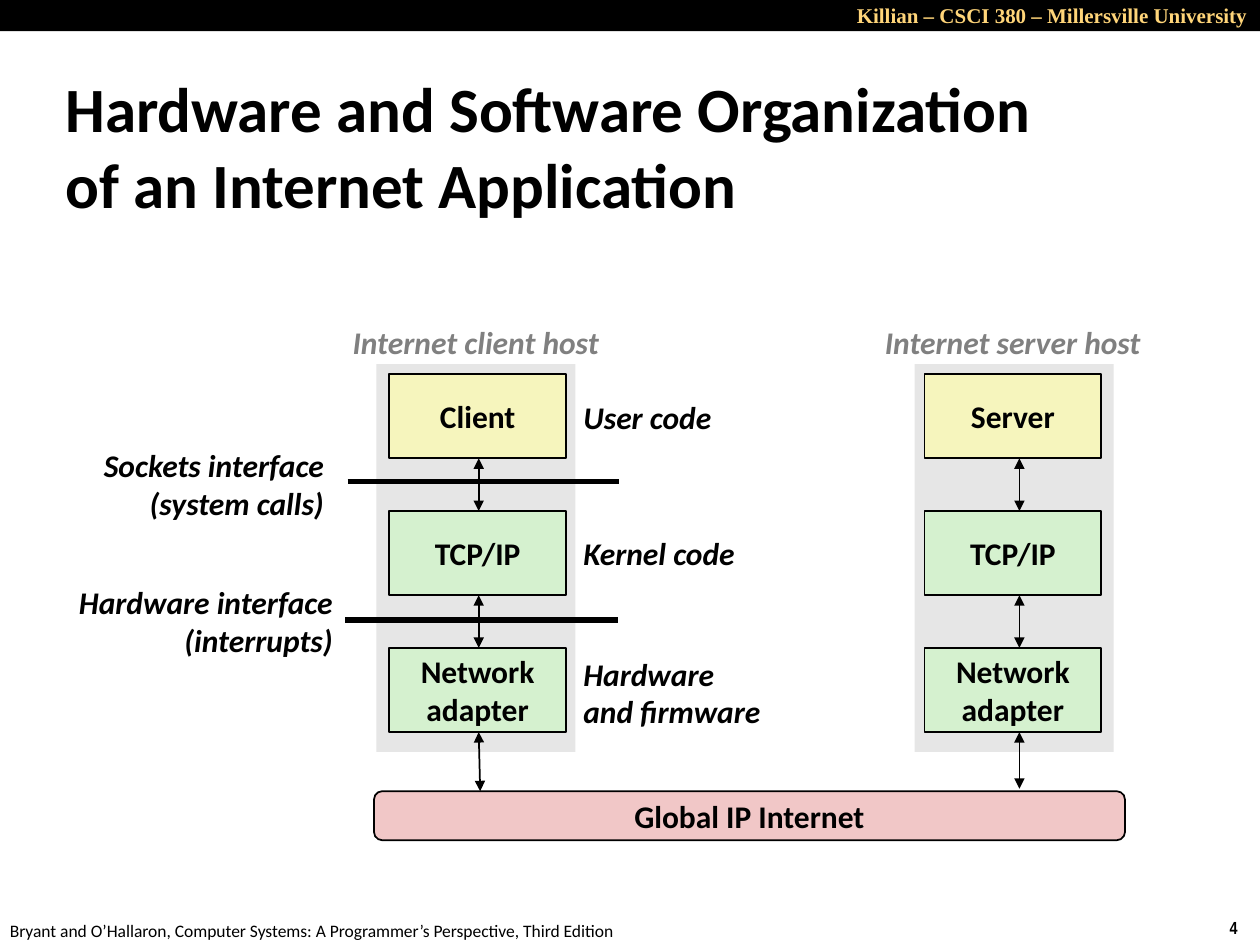
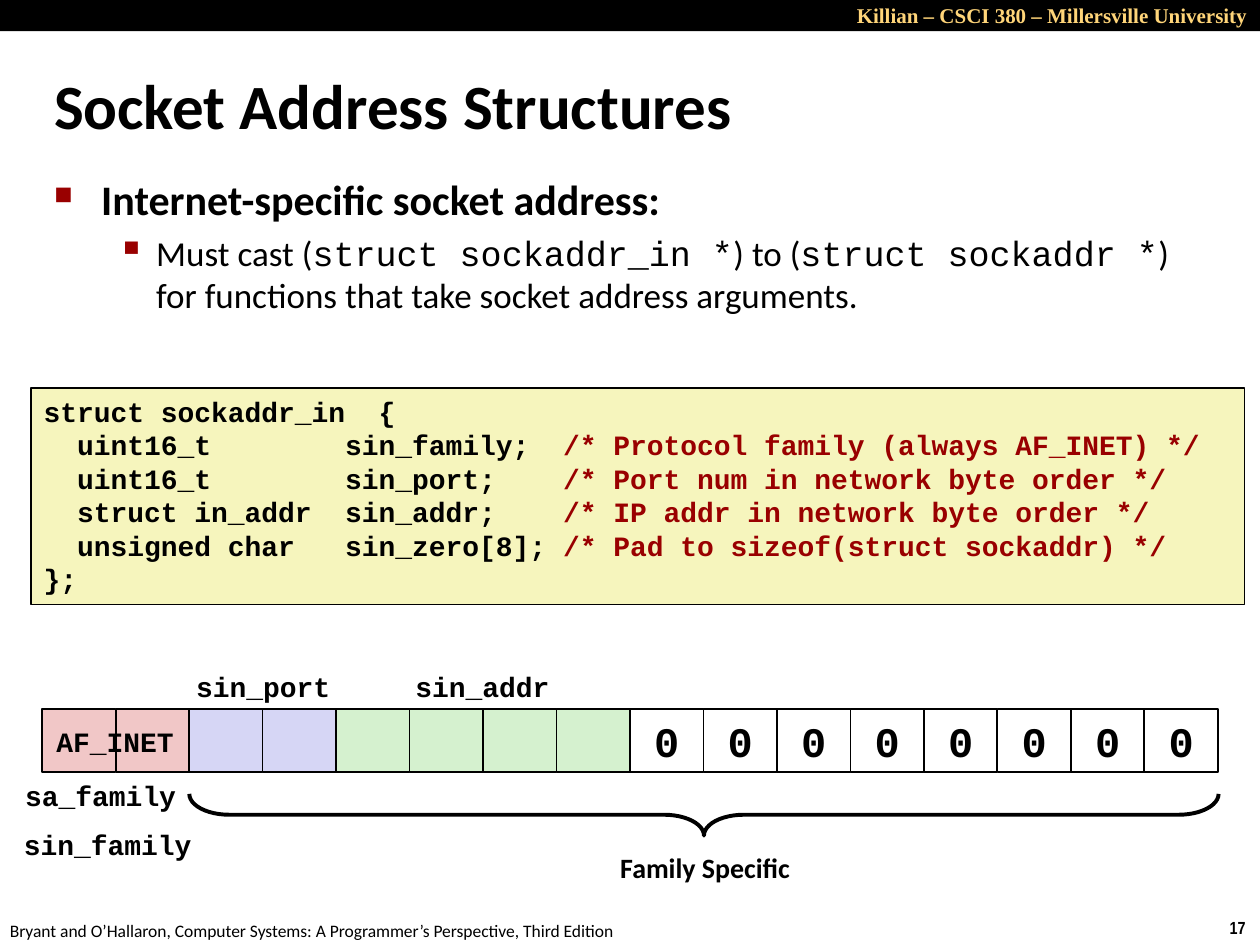
from lxml import etree
from pptx import Presentation
from pptx.dml.color import RGBColor
from pptx.enum.shapes import MSO_CONNECTOR, MSO_SHAPE
from pptx.enum.text import MSO_ANCHOR, PP_ALIGN
from pptx.oxml.ns import qn
from pptx.util import Cm, Pt

RECTANGLE = MSO_SHAPE.RECTANGLE
ROUNDED = MSO_SHAPE.ROUNDED_RECTANGLE
BRACE = MSO_SHAPE.RIGHT_BRACE
STRAIGHT = MSO_CONNECTOR.STRAIGHT
LEFT, CENTER, RIGHT = PP_ALIGN.LEFT, PP_ALIGN.CENTER, PP_ALIGN.RIGHT
TOP, MIDDLE = MSO_ANCHOR.TOP, MSO_ANCHOR.MIDDLE


class Theme:
    black = RGBColor.from_string("000000")
    white = RGBColor.from_string("FFFFFF")
    gold = RGBColor.from_string("FFD579")
    gray = RGBColor.from_string("808080")
    panel = RGBColor.from_string("E6E6E6")
    yellow = RGBColor.from_string("F6F5BD")
    green = RGBColor.from_string("D5F1CF")
    pink = RGBColor.from_string("F1C7C7")
    lilac = RGBColor.from_string("D6D6F5")
    red = RGBColor.from_string("990000")
    band = {"name": "Times New Roman", "size": Pt(12), "bold": True, "ink": gold}
    footer = {"name": "Calibri", "size": Pt(10), "bold": False, "ink": black}
    number = {"name": "Arial Narrow", "size": Pt(10), "bold": True, "ink": black}
    title = {"name": "Calibri", "size": Pt(36), "bold": True, "ink": black}
    topic = {"name": "Calibri", "size": Pt(24), "bold": True, "ink": black}
    detail = {"name": "Calibri", "size": Pt(20), "bold": False, "ink": black}
    block = {"name": "Calibri", "size": Pt(18), "bold": True, "ink": black}
    note = {**block, "italic": True}
    host = {**note, "ink": gray}
    code = {"name": "Courier New", "size": Pt(16), "bold": True, "ink": black}
    caption = {**code, "name": "Calibri"}
    digit = {**code, "size": Pt(24)}


def put(page, kind, at, fill=None, edge=None):
    place = [Cm(length) for length in at]
    if kind is None:
        return page.shapes.add_textbox(*place)
    shape = page.shapes.add_shape(kind, *place)
    shape.shadow.inherit = False
    if fill is None:
        shape.fill.background()
    else:
        shape.fill.solid()
        shape.fill.fore_color.rgb = fill
    if edge is None:
        shape.line.fill.background()
    else:
        shape.line.color.rgb = Theme.black
        shape.line.width = Pt(edge)
    return shape


def write(shape, lines, style, align=LEFT, anchor=TOP, wrap=True):
    frame = shape.text_frame
    frame.word_wrap = wrap
    frame.vertical_anchor = anchor
    for index, line in enumerate(lines):
        para = frame.add_paragraph() if index else frame.paragraphs[0]
        para.alignment = align
        for text, changes in [(line, {})] if isinstance(line, str) else line:
            span = para.add_run()
            span.text = text
            for name, value in {**style, **changes}.items():
                if name == "ink":
                    span.font.color.rgb = value
                else:
                    setattr(span.font, name, value)


deck = Presentation()
deck.slide_width = Cm(25.4)
deck.slide_height = Cm(19.05)

titles = [
    ("4", (1.07, 1.4, 22.58, 3.05),
     ["Hardware and Software Organization", "of an Internet Application"]),
    ("17", (0.84, 1.02, 24.21, 2.16), ["Socket Address Structures"]),
]
pages = []
for number, title_place, title_lines in titles:
    page = deck.slides.add_slide(deck.slide_layouts[6])
    pages.append(page)
    put(page, RECTANGLE, (0, 0, 25.4, 0.63), Theme.black)
    write(put(page, None, (11.43, -0.08, 13.97, 0.76)),
          ["Killian – CSCI 380 – Millersville University"], Theme.band, RIGHT)
    write(put(page, None, (24.54, 18.36, 0.86, 0.69)), [number], Theme.number)
    write(put(page, None, (-0.05, 18.42, 12.9, 0.69)),
          ["Bryant and O’Hallaron, Computer Systems: "
           "A Programmer’s Perspective, Third Edition"], Theme.footer, wrap=False)
    write(put(page, None, title_place), title_lines, Theme.title, anchor=MIDDLE)
organization, addresses = pages

row_top, row_pitch, row_height = 7.54, 2.76, 1.7
internet_top = 15.95
hosts = [("Client", 7.59, 7.85, 9.65, 9.68, internet_top),
         ("Server", 18.44, 18.64, 20.55, 20.55, 15.9)]
links = []
for program, panel_left, box_left, arrow_x, end_x, end_y in hosts:
    put(organization, RECTANGLE, (panel_left, 7.34, 4.01, 7.82), Theme.panel)
    layers = [([program], Theme.yellow), (["TCP/IP"], Theme.green),
              (["Network", "adapter"], Theme.green)]
    for row, (lines, fill) in enumerate(layers):
        top = row_top + row * row_pitch
        box = put(organization, RECTANGLE, (box_left, top, 3.56, row_height), fill, 1)
        write(box, lines, Theme.block, CENTER, MIDDLE, False)
        last = row == len(layers) - 1
        links.append((arrow_x, top + row_height, end_x if last else arrow_x,
                      end_y if last else top + row_pitch, 1, True))

internet = put(organization, ROUNDED, (7.54, internet_top, 15.14, 0.99), Theme.pink, 1)
internet.adjustments[0] = 0.17
write(internet, ["Global IP Internet"], Theme.block, CENTER, MIDDLE, False)

links += [(7.01, 9.7, 12.47, 9.7, 3, False), (6.96, 12.5, 12.45, 12.5, 3, False)]
for start_x, start_y, end_x, end_y, width, arrow in links:
    link = organization.shapes.add_connector(
        STRAIGHT, Cm(start_x), Cm(start_y), Cm(end_x), Cm(end_y))
    link.line.color.rgb = Theme.black
    link.line.width = Pt(width)
    if arrow:
        for end in ("a:headEnd", "a:tailEnd"):
            etree.SubElement(link.line._get_or_add_ln(), qn(end), type="triangle")
    etree.SubElement(link._element.spPr, qn("a:effectLst"))

notes = [
    (["Internet client host"], (6.81, 6.38, 5.56, 1.02), Theme.host, CENTER),
    (["Internet server host"], (17.53, 6.38, 5.77, 1.02), Theme.host, CENTER),
    (["Sockets interface", "(system calls)"], (1.78, 8.86, 5, 1.8), Theme.note, RIGHT),
    (["Hardware interface", "(interrupts)"], (1.27, 11.61, 5.69, 1.8), Theme.note, RIGHT),
    (["User code"], (11.51, 7.9, 3.12, 1.02), Theme.note, LEFT),
    (["Kernel code"], (11.51, 10.64, 3.61, 1.02), Theme.note, LEFT),
    (["Hardware", "and firmware"], (11.51, 13.06, 4.14, 1.8), Theme.note, LEFT),
]
for lines, place, style, align in notes:
    write(put(organization, None, place), lines, style, align, MIDDLE, False)

mono = {"name": "Courier New"}
body = put(addresses, None, (0.84, 3.38, 23.09, 4.65))
write(body, [
    [("Internet-specific socket address:", Theme.topic)],
    [("Must cast (", {}), ("struct sockaddr_in *", mono), (") to (", {}),
     ("struct sockaddr *", mono),
     (") for functions that take socket address arguments.", {})],
], Theme.detail)
bullets = [("■", 60, 0.95, 0.95, 4.8), ("▪", 110, 2.06, 0.79, 4)]
for level, (para, bullet) in enumerate(zip(body.text_frame.paragraphs, bullets)):
    mark, percent, margin, hanging, gap = bullet
    para.level = level
    para.space_before = Pt(gap)
    settings = para._p.get_or_add_pPr()
    settings.set("marL", str(Cm(margin)))
    settings.set("indent", str(-Cm(hanging)))
    color = etree.SubElement(settings, qn("a:buClr"))
    etree.SubElement(color, qn("a:srgbClr"), val=str(Theme.red))
    etree.SubElement(settings, qn("a:buSzPct"), val=str(percent * 1000))
    etree.SubElement(settings, qn("a:buChar"), char=mark)

fields = [
    ("uint16_t", "sin_family;", "/* Protocol family (always AF_INET) */"),
    ("uint16_t", "sin_port;", "/* Port num in network byte order */"),
    ("struct in_addr", "sin_addr;", "/* IP addr in network byte order */"),
    ("unsigned char", "sin_zero[8];", "/* Pad to sizeof(struct sockaddr) */"),
]
listing = [[(f"  {kind:<16}{field:<13}", {}), (comment, {"ink": Theme.red})]
           for kind, field, comment in fields]
write(put(addresses, RECTANGLE, (0.63, 7.82, 24.46, 4.37), Theme.yellow, 1),
      ["struct sockaddr_in  {", *listing, "};"], Theme.code)

byte_fills = [Theme.pink] * 2 + [Theme.lilac] * 2 + [Theme.green] * 4 + [Theme.white] * 8
byte_width = 23.7 / len(byte_fills)
for position, fill in enumerate(byte_fills):
    place = (0.85 + position * byte_width, 14.3, byte_width, 1.27)
    cell = put(addresses, RECTANGLE, place, fill, 1)
    if fill == Theme.white:
        write(cell, ["0"], Theme.digit, CENTER, MIDDLE)

brace = put(addresses, BRACE, (13.77, 6.05, 0.84, 20.75), edge=2.25)
brace.rotation = 90
brace.adjustments[0] = 0.96
brace.adjustments[1] = 0.5

captions = [
    ("sin_port", 3.68, 13.38, 3.25, Theme.code),
    ("sin_addr", 8.1, 13.38, 3.25, Theme.code),
    ("AF_INET", 0.86, 14.48, 2.92, Theme.code),
    ("sa_family", 0.25, 15.57, 3.56, Theme.code),
    ("sin_family", 0.2, 16.56, 3.94, Theme.code),
    ("Family Specific", 12.22, 17.02, 3.99, Theme.caption),
]
for text, left, top, width, style in captions:
    write(put(addresses, None, (left, top, width, 0.94)), [text], style, CENTER, wrap=False)

deck.save("out.pptx")
